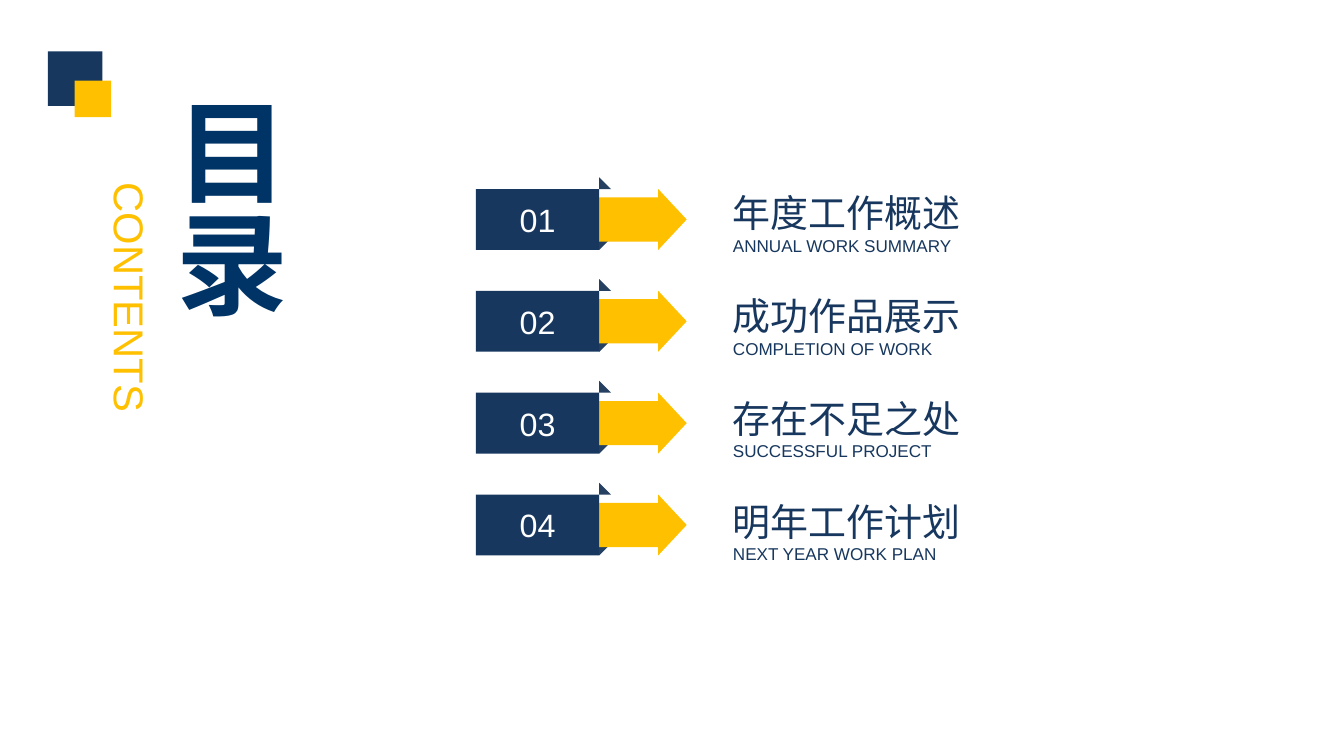
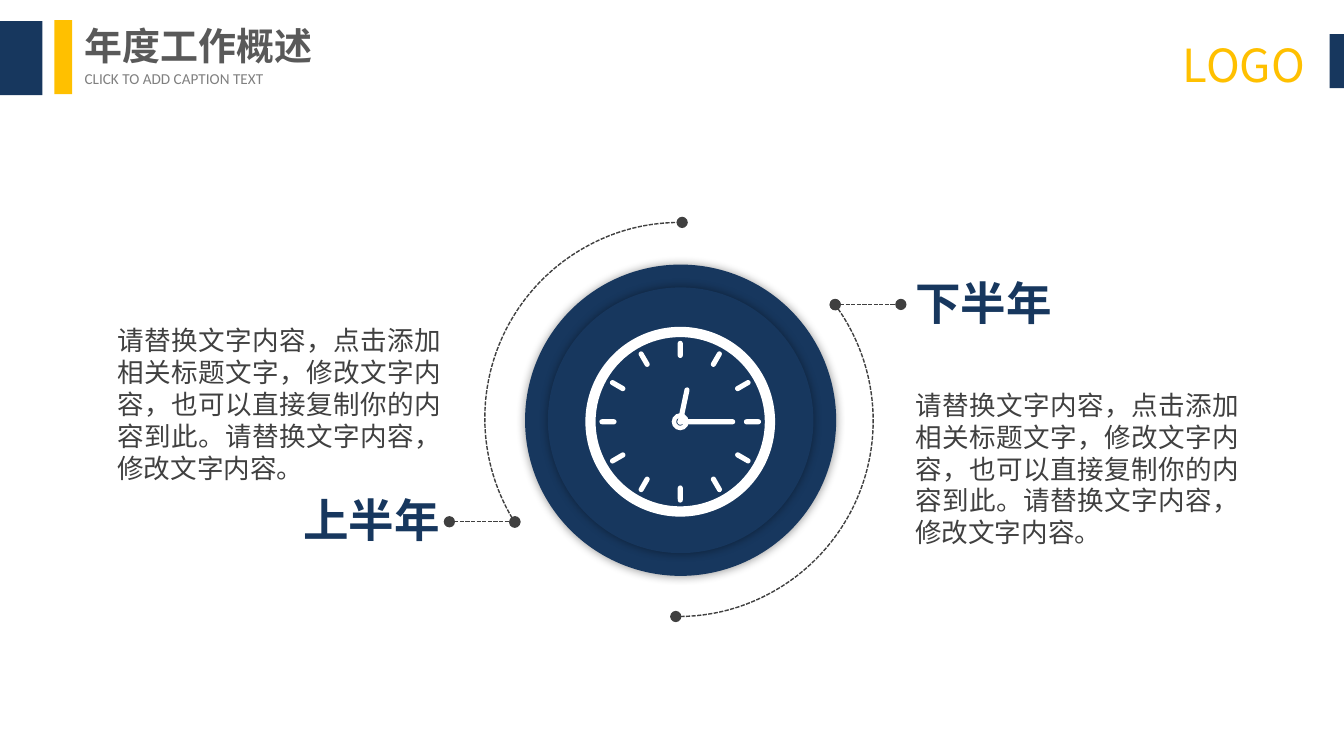
from math import cos, radians, sin

from lxml.etree import SubElement
from pptx import Presentation
from pptx.dml.color import RGBColor
from pptx.enum.dml import MSO_LINE
from pptx.enum.shapes import MSO_CONNECTOR, MSO_SHAPE as SHAPE
from pptx.enum.text import MSO_ANCHOR as ANCHOR, PP_ALIGN as ALIGN
from pptx.oxml import parse_xml
from pptx.oxml.ns import nsdecls, qn
from pptx.util import Pt

NAVY = RGBColor(0x17, 0x37, 0x5E)
FOLD_NAVY = RGBColor(0x25, 0x40, 0x61)
TITLE_BLUE = RGBColor(0x00, 0x34, 0x66)
GOLD = RGBColor(0xFF, 0xC0, 0x00)
WHITE = RGBColor(0xFF, 0xFF, 0xFF)
CHARCOAL = RGBColor(0x40, 0x40, 0x40)
TITLE_GREY = RGBColor(0x59, 0x59, 0x59)
CAPTION_GREY = RGBColor(0x80, 0x80, 0x80)

BODY_FONT, TITLE_FONT, CHINESE_FONT = "Arial", "Calibri", "Noto Sans CJK SC"
WIDTH, HEIGHT = 708.5, 396.7
PADDING = (5, 2.7)

CHAPTERS = [
    ("年度工作概述", "ANNUAL WORK SUMMARY"),
    ("成功作品展示", "COMPLETION OF WORK"),
    ("存在不足之处", "SUCCESSFUL PROJECT"),
    ("明年工作计划", "NEXT YEAR WORK PLAN"),
]
HALF_YEAR_TEXT = ("请替换文字内容，点击添加相关标题文字，修改文字内容，"
                  "也可以直接复制你的内容到此。请替换文字内容，修改文字内容。")


class Deck:
    def __init__(self):
        self.prs = Presentation()
        self.prs.slide_width, self.prs.slide_height = Pt(WIDTH), Pt(HEIGHT)
        self.shapes = None

    def new_slide(self):
        self.shapes = self.prs.slides.add_slide(self.prs.slide_layouts[6]).shapes

    def shape(self, kind, left, top, width, height, fill, adjust=(), rotation=0):
        shape = self.shapes.add_shape(kind, Pt(left), Pt(top), Pt(width), Pt(height))
        shape.shadow.inherit = False
        shape.line.fill.background()
        if fill is None:
            shape.fill.background()
        else:
            shape.fill.solid()
            shape.fill.fore_color.rgb = fill
        for index, value in enumerate(adjust):
            shape.adjustments[index] = value
        shape.rotation = rotation
        return shape

    def set_lines(self, shape, lines, color, align=ALIGN.LEFT, font=BODY_FONT, bold=False,
                  anchor=ANCHOR.MIDDLE, padding=(0, 0), leading=None):
        """Fill a shape with (text, size) lines; leading is a multiple of the size."""
        frame = shape.text_frame
        frame.word_wrap = True
        frame.vertical_anchor = anchor
        frame.margin_left = frame.margin_right = Pt(padding[0])
        frame.margin_top = frame.margin_bottom = Pt(padding[1])
        frame.text = "\n".join(text for text, _ in lines)
        for paragraph, (_, size) in zip(frame.paragraphs, lines):
            paragraph.alignment = align
            if leading:
                paragraph.line_spacing = Pt(size * leading)
            for run in paragraph.runs:
                run.font.size, run.font.name, run.font.bold = Pt(size), font, bold
                run.font.color.rgb = color
                SubElement(run.font._element, qn("a:ea")).set("typeface", CHINESE_FONT)

    def text(self, left, top, width, height, lines, color, **style):
        box = self.shapes.add_textbox(Pt(left), Pt(top), Pt(width), Pt(height))
        self.set_lines(box, lines, color, **style)
        return box

    def dash(self, line):
        """Style a line as thin dashes with a dot at each end."""
        line.color.rgb = CHARCOAL
        line.width = Pt(0.75)
        line.dash_style = MSO_LINE.SQUARE_DOT
        for end in ("a:headEnd", "a:tailEnd"):
            SubElement(line._get_or_add_ln(), qn(end)).set("type", "oval")

    def dotted_arc(self, left, top, size, start, end, rotation=0):
        arc = self.shape(SHAPE.ARC, left, top, size, size, None,
                         (start * 0.6, end * 0.6), rotation)
        self.dash(arc.line)

    def dotted_line(self, left, right, y):
        line = self.shapes.add_connector(MSO_CONNECTOR.STRAIGHT,
                                         Pt(left), Pt(y), Pt(right), Pt(y))
        self.dash(line.line)
        SubElement(line._element.spPr, qn("a:effectLst"))

    def disc(self, x, y, radius):
        disc = self.shape(SHAPE.OVAL, x - radius, y - radius, 2 * radius, 2 * radius, NAVY)
        effects = disc._element.spPr.find(qn("a:effectLst"))
        effects.append(parse_xml(
            f'<a:outerShdw {nsdecls("a")} blurRad="{Pt(5)}" dist="0" dir="0" '
            'algn="ctr" rotWithShape="0"><a:srgbClr val="000000">'
            '<a:alpha val="40000"/></a:srgbClr></a:outerShdw>'))

    def ring(self, x, y, radius, thickness):
        self.shape(SHAPE.DONUT, x - radius, y - radius, 2 * radius, 2 * radius, WHITE,
                   [thickness / (2 * radius)])

    def spoke(self, x, y, inner, outer, angle):
        """Rounded bar on a ray from (x, y), angle clockwise from three o'clock."""
        length, thickness = outer - inner, 2.7
        middle = (inner + outer) / 2
        self.shape(SHAPE.ROUNDED_RECTANGLE,
                   x + middle * cos(radians(angle)) - length / 2,
                   y + middle * sin(radians(angle)) - thickness / 2,
                   length, thickness, WHITE, [0.5], angle)

    def clock(self, x, y):
        self.ring(x, y, 50, 5.4)
        for hour in range(12):
            self.spoke(x, y, 33.6, 42.6, hour * 30)
        self.ring(x, y, 4.5, 2.4)
        self.spoke(x, y, -1.5, 18.5, -78)
        self.spoke(x, y, -1.5, 29, 0)

    def header(self, title, caption):
        self.shape(SHAPE.RECTANGLE, 0, 11.2, 22.4, 39, NAVY)
        self.shape(SHAPE.RECTANGLE, 28.7, 10.7, 9.4, 39, GOLD)
        self.text(618.5, 16.6, 90, 34.5, [("LOGO", 24)], GOLD, font=CHINESE_FONT,
                  anchor=ANCHOR.TOP, padding=PADDING)
        self.shape(SHAPE.RECTANGLE, 700.9, 18, WIDTH - 700.9, 28.5, NAVY)
        self.text(44.6, 11.5, 127.4, 24.5, [(title, 20)], TITLE_GREY,
                  font=TITLE_FONT, bold=True)
        self.text(44.6, 36.7, 127.4, 9.4, [(caption, 8)], CAPTION_GREY, font=TITLE_FONT)

    def chapter_row(self, index, chapter, caption):
        top, height, fold = 99.6 + index * 53.65, 32.1, 6.2
        label_right = 315.9
        self.shape(SHAPE.RIGHT_TRIANGLE, label_right, top + height - fold, fold, fold,
                   FOLD_NAVY, rotation=90)
        self.shape(SHAPE.RIGHT_TRIANGLE, label_right, top - fold, fold, fold, FOLD_NAVY)
        self.shape(SHAPE.RIGHT_ARROW, 267, top, 95, height, GOLD, (0.726, 0.468))
        label = self.shape(SHAPE.RECTANGLE, 250.9, top, 65, height, NAVY)
        self.set_lines(label, [(f"{index + 1:02}", 17)], WHITE, align=ALIGN.CENTER)
        self.text(386.4, 99.6 + index * 54.2, 136, 35.3,
                  [(chapter, 20), (caption, 9)], NAVY, leading=1.2)

    def half_year(self, heading, heading_at, align, body_at):
        self.text(*heading_at, 164, 34.5, [(heading, 24)], NAVY, align=align,
                  bold=True, padding=PADDING)
        self.text(*body_at, 180.7, 90, [(HALF_YEAR_TEXT, 14)], CHARCOAL,
                  align=ALIGN.JUSTIFY, padding=PADDING, leading=1.2)


def contents_slide(deck):
    deck.new_slide()
    deck.shape(SHAPE.RECTANGLE, 25.2, 27.1, 28.8, 28.8, NAVY)
    deck.shape(SHAPE.RECTANGLE, 39.4, 42.5, 19.2, 19.2, GOLD)
    for index, (chapter, caption) in enumerate(CHAPTERS):
        deck.chapter_row(index, chapter, caption)
    heading = deck.text(85, 50.4, 71.3, 208, [("目录", 59)], TITLE_BLUE,
                        align=ALIGN.CENTER, bold=True)
    heading.text_frame._txBody.bodyPr.set("vert", "eaVert")
    subheading = deck.text(-21.6, 143.3, 180.7, 26.6, [("CONTENTS", 22)], GOLD,
                           align=ALIGN.CENTER, anchor=ANCHOR.TOP)
    subheading.rotation = 90


def overview_slide(deck):
    deck.new_slide()
    deck.dotted_arc(255.6, 117.2, 206.3, 147.9, 270.5)
    deck.dotted_arc(254, 118.5, 206.3, 143.7, 270.5, rotation=180)
    deck.dotted_line(440.3, 474.9, 160.4)
    deck.dotted_line(236.9, 271.5, 274.9)
    center = (358.8, 221.4)
    deck.disc(*center, 82)
    deck.half_year("上半年", (72.7, 256.5), ALIGN.RIGHT, (56.9, 167.8))
    deck.half_year("下半年", (477.4, 142), ALIGN.LEFT, (477.4, 201.8))
    deck.disc(*center, 70)
    deck.clock(358.6, 222.2)
    deck.header(CHAPTERS[0][0], "CLICK TO ADD CAPTION TEXT")


def main():
    deck = Deck()
    contents_slide(deck)
    overview_slide(deck)
    deck.prs.save("out.pptx")


if __name__ == "__main__":
    main()
